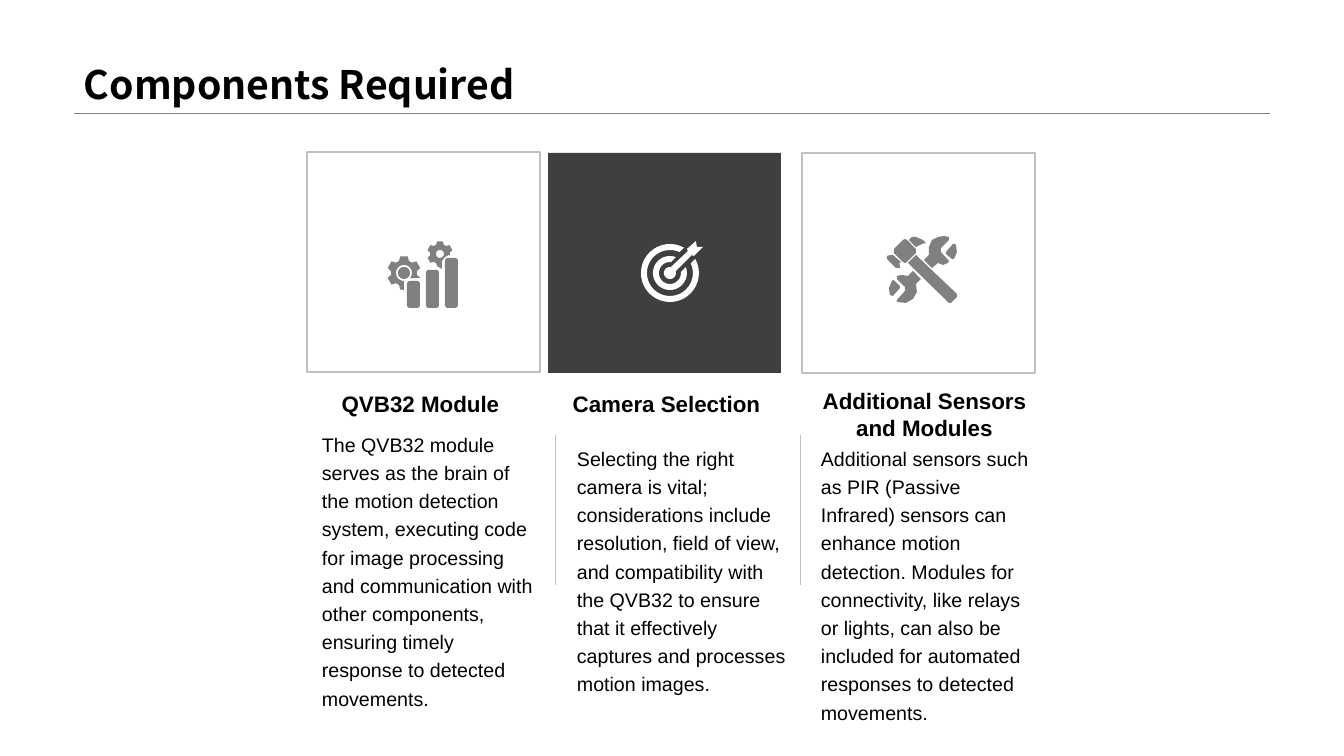
from math import asin, cos, degrees, radians, sin

from lxml.etree import SubElement
from pptx import Presentation
from pptx.dml.color import RGBColor
from pptx.enum.shapes import MSO_CONNECTOR as CONN, MSO_SHAPE as SHAPE
from pptx.enum.text import MSO_ANCHOR as ANCHOR, MSO_AUTO_SIZE as FIT, PP_ALIGN as ALIGN
from pptx.oxml.ns import qn
from pptx.util import Pt

PX = 914400 / 100.8
BLACK = RGBColor(0x00, 0x00, 0x00)
WHITE = RGBColor(0xFF, 0xFF, 0xFF)
DARK = RGBColor(0x3F, 0x3F, 0x3F)
GRAY = RGBColor(0x80, 0x80, 0x80)
SILVER = RGBColor(0xBF, 0xBF, 0xBF)

TITLE = "Components Required"
COL_W, TILE_H, HEAD_H, BODY_H = 233, 220, 37, 210
DIVIDERS = (555, 800)

COLUMNS = [
    dict(tile=(307, 152), fill=WHITE, edge=SILVER, ink=GRAY, icon="gears",
         head=(304, 385), body=(312, 423), name="QVB32 Module",
         text="The QVB32 module serves as the brain of the motion detection system, "
              "executing code for image processing and communication with other "
              "components, ensuring timely response to detected movements."),
    dict(tile=(548, 153), fill=DARK, edge=None, ink=WHITE, icon="target",
         head=(550, 385), body=(567, 437), name="Camera Selection",
         text="Selecting the right camera is vital; considerations include resolution, "
              "field of view, and compatibility with the QVB32 to ensure that it "
              "effectively captures and processes motion images."),
    dict(tile=(802, 153), fill=WHITE, edge=SILVER, ink=GRAY, icon="tools",
         head=(808, 382), body=(811, 437), name="Additional Sensors and Modules",
         text="Additional sensors such as PIR (Passive Infrared) sensors can enhance "
              "motion detection. Modules for connectivity, like relays or lights, can "
              "also be included for automated responses to detected movements."),
]

DART = [(676, 271), (692, 255), (694, 256), (703, 247), (697, 247), (696, 241),
        (687, 249), (688, 251), (671, 267)]
GEAR_CUT = [(449, 255), (445, 257), (442, 261), (442, 269), (437, 266)]
TOOLS = [
    [(893, 280), (895, 281), (900, 286), (900, 288), (893, 296), (890, 295),
     (889, 288), (892, 281)],
    [(913, 271), (921, 279), (916, 284), (917, 292), (913, 299), (906, 303),
     (897, 302), (897, 300), (905, 291), (905, 287), (897, 279), (897, 276),
     (902, 275), (908, 276)],
    [(916, 255), (957, 294), (957, 297), (951, 303), (949, 303), (908, 263)],
    [(893, 255), (901, 262), (899, 264), (900, 265), (900, 268), (896, 268),
     (887, 259), (887, 256), (891, 255)],
    [(955, 244), (956, 245), (957, 252), (954, 259), (952, 259), (946, 254),
     (946, 252), (953, 244)],
    [(905, 239), (907, 240), (916, 249), (916, 253), (907, 262), (905, 263),
     (903, 262), (894, 253), (894, 249), (903, 240)],
    [(916, 237), (923, 240), (926, 243), (922, 244), (916, 247), (909, 240),
     (912, 237)],
    [(944, 236), (949, 237), (949, 240), (941, 248), (941, 252), (949, 261),
     (948, 263), (943, 265), (938, 263), (932, 268), (924, 260), (929, 255),
     (929, 247), (932, 240), (938, 237)],
]


def px(*values):
    return [round(v * PX) for v in values]


def polar(center, radius, angle):
    a = radians(angle)
    return center[0] + radius * cos(a), center[1] + radius * sin(a)


def arc(center, radius, start, end, steps=36):
    return [polar(center, radius, start + (end - start) * i / steps)
            for i in range(steps + 1)]


def ring(center, outer, inner, slot):
    def edge(radius):
        gap = degrees(asin(slot / radius))
        return arc(center, radius, gap - 45, 315 - gap)
    return edge(outer) + edge(inner)[::-1]


def gear(center, tip, root, start, end):
    teeth = [(t + d, r) for t in range(90, 391, 60)
             for d, r in ((-22, root), (-13, tip), (13, tip), (22, root))]
    return [polar(center, r, a) for a, r in teeth if start <= a <= end]


def bar(left, top, right, bottom, r=3):
    corners = ((right - r, top + r, -90), (right - r, bottom - r, 0),
               (left + r, bottom - r, 90), (left + r, top + r, 180))
    return [pt for x, y, a in corners for pt in arc((x, y), r, a, a + 90, 6)]


def gears_icon():
    big, small = (404, 273), (440, 254)
    bars = [bar(407 + 19 * i, top, 420 + 19 * i, 308)
            for i, top in enumerate((281, 270, 258))]
    rim = [polar(big, 17, 90)] + gear(big, 17, 13, 90, 385) + arc(big, 8, 400, 90)
    return bars + [rim, arc(big, 6, 0, 360),
                   gear(small, 13, 10, 110, 368) + GEAR_CUT,
                   arc(small, 4, 0, 360)]


def target_icon():
    c = (670, 273)
    return [ring(c, 29, 23, 8), ring(c, 17, 11, 7), arc(c, 6, -18, 280) + DART[::-1]]


ICONS = {"gears": gears_icon(), "target": target_icon(), "tools": TOOLS}

prs = Presentation()
prs.slide_width, prs.slide_height = px(1344, 756)
s = prs.slides.add_slide(prs.slide_layouts[6])


def add_line(x1, y1, x2, y2, color):
    c = s.shapes.add_connector(CONN.STRAIGHT, *px(x1, y1, x2, y2))
    c.line.color.rgb = color
    c.line.width = Pt(0.25)
    SubElement(c._element.spPr, qn("a:effectLst"))


def paint(sp, fill, edge=None):
    sp.shadow.inherit = False
    sp.fill.solid()
    sp.fill.fore_color.rgb = fill
    if edge is None:
        sp.line.fill.background()
    else:
        sp.line.color.rgb = edge
        sp.line.width = Pt(1)


def add_icon(contours, color):
    paths = [[tuple(px(*pt)) for pt in c] for c in contours]
    fb = s.shapes.build_freeform(*paths[0][0], scale=1.0)
    for i, pts in enumerate(paths):
        if i:
            fb.move_to(*pts[0])
        fb.add_line_segments(pts[1:], close=True)
    paint(fb.convert_to_shape(), color)


def add_text(box, text, size, bold=False, font="Arial", align=ALIGN.LEFT,
             spacing=1.0, anchor=ANCHOR.TOP, fit=FIT.SHAPE_TO_FIT_TEXT):
    tf = s.shapes.add_textbox(*px(*box)).text_frame
    tf.word_wrap, tf.auto_size, tf.vertical_anchor = True, fit, anchor
    p = tf.paragraphs[0]
    p.alignment, p.line_spacing = align, spacing
    r = p.add_run()
    r.text = text
    r.font.name, r.font.size, r.font.bold = font, Pt(size), bold
    r.font.color.rgb = BLACK


add_line(74, 113, 1270, 113, GRAY)
add_text((74, 0, 1196, 113), TITLE, 28, True, "Noto Sans CJK SC",
         spacing=0.9, anchor=ANCHOR.BOTTOM, fit=FIT.NONE)
for col in COLUMNS:
    tile = s.shapes.add_shape(SHAPE.RECTANGLE, *px(*col["tile"], COL_W, TILE_H))
    paint(tile, col["fill"], col["edge"])
    add_icon(ICONS[col["icon"]], col["ink"])
    add_text((*col["body"], COL_W, BODY_H), col["text"], 14, spacing=1.2)
    add_text((*col["head"], COL_W, HEAD_H), col["name"], 16, True, align=ALIGN.CENTER)
for x in DIVIDERS:
    add_line(x, 435, x, 585, SILVER)

prs.save("out.pptx")
